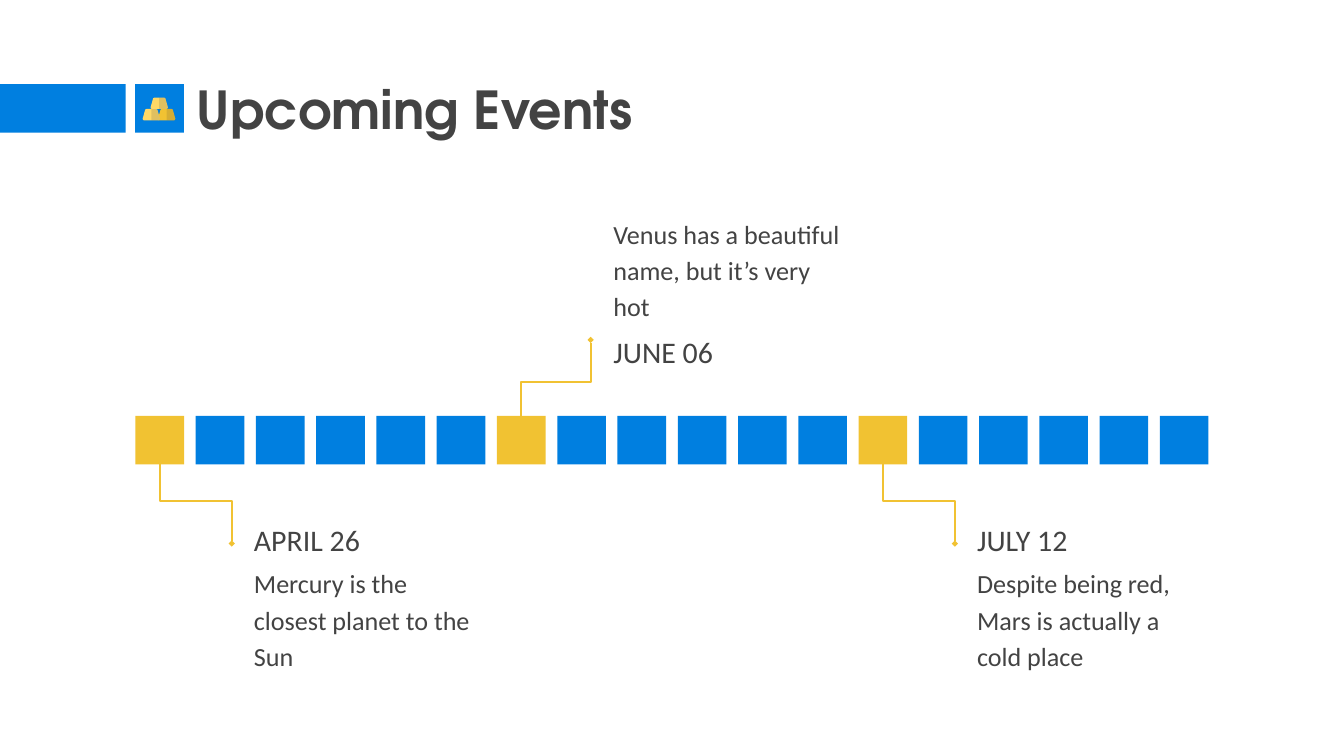
from dataclasses import dataclass
from lxml.etree import SubElement
from pptx import Presentation
from pptx.dml.color import RGBColor
from pptx.enum.shapes import MSO_CONNECTOR, MSO_SHAPE
from pptx.enum.text import MSO_ANCHOR, MSO_AUTO_SIZE, PP_ALIGN
from pptx.oxml.ns import qn
from pptx.util import Cm, Pt


@dataclass(frozen=True)
class Theme:
    blue: RGBColor = RGBColor.from_string("007FE0")
    gold: RGBColor = RGBColor.from_string("F1C232")
    light_gold: RGBColor = RGBColor.from_string("FFD966")
    ink: RGBColor = RGBColor.from_string("434343")
    title_font: str = "TeX Gyre Adventor"
    body_font: str = "Calibri"
    title_size: Pt = Pt(56)
    date_size: Pt = Pt(32)
    note_size: Pt = Pt(28)
    line_width: Pt = Pt(2.25)
    inset: Cm = Cm(0.51)


@dataclass(frozen=True)
class Side:
    line_start: Cm
    line_end: Cm
    line_run: Cm
    text_offset: Cm
    text_width: Cm
    date_top: Cm
    note_top: Cm
    note_height: Cm


THEME = Theme()
SQUARE = Cm(1.84)
SQUARE_COUNT = 18
BELOW = Side(Cm(1.6), Cm(4.83), Cm(2.72), Cm(3.05), Cm(9.27), Cm(3.28), Cm(5.06), Cm(5.49))
ABOVE = Side(Cm(0.31), Cm(-2.87), Cm(2.62), Cm(2.97), Cm(9.6), Cm(-3.81), Cm(-8.15), Cm(4.75))
EVENTS = {
    0: ("APRIL 26", "Mercury is the closest planet to the Sun", BELOW),
    6: ("JUNE 06", "Venus has a beautiful name, but it’s very hot", ABOVE),
    12: ("JULY 12", "Despite being red, Mars is actually a cold place", BELOW),
}
BAR_OUTLINE = [(0.22, 0), (0.15, 0.06), (0, 0.88), (0.06, 1),
               (0.94, 1), (1, 0.88), (0.85, 0.06), (0.78, 0)]
BAR_SHADE = [(0.5, 0), (0.5, 1)] + BAR_OUTLINE[4:]


def paint(shape, color):
    shape.shadow.inherit = False
    shape.fill.solid()
    shape.fill.fore_color.rgb = color
    shape.line.fill.background()


def add_block(slide, left, top, width, height, color):
    paint(slide.shapes.add_shape(MSO_SHAPE.RECTANGLE, left, top, width, height), color)


def write_text(shape, text, font_name, size, bold=False):
    frame = shape.text_frame
    frame.word_wrap = True
    frame.auto_size = MSO_AUTO_SIZE.NONE
    frame.margin_left = frame.margin_right = THEME.inset
    frame.margin_top = frame.margin_bottom = THEME.inset
    paragraph = frame.paragraphs[0]
    paragraph.alignment = PP_ALIGN.LEFT
    run = paragraph.add_run()
    run.text = text
    run.font.name = font_name
    run.font.size = size
    run.font.bold = bold
    run.font.color.rgb = THEME.ink
    return frame


def add_caption(slide, left, top, width, height, text, size):
    box = slide.shapes.add_textbox(left, top, width, height)
    frame = write_text(box, text, THEME.body_font, size)
    frame.paragraphs[0].line_spacing = 1.15


def add_outline(slide, left, top, width, height, fractions, color):
    points = [(left + int(x * width), top + int(y * height)) for x, y in fractions]
    builder = slide.shapes.build_freeform(*points[0])
    builder.add_line_segments(points[1:], close=True)
    shape = builder.convert_to_shape()
    paint(shape, color)
    return shape


def add_gold_bars(slide, left, top):
    width, height = Cm(0.66), Cm(0.43)
    bars = [
        (Cm(0.58), height, THEME.gold),
        (0, height, THEME.light_gold),
        (Cm(0.3), 0, THEME.light_gold),
    ]
    for x, y, color in bars:
        add_outline(slide, left + x, top + y, width, height, BAR_OUTLINE, color)
        shade = add_outline(slide, left + x, top + y, width, height, BAR_SHADE, THEME.ink)
        tint = shade._element.spPr.find(".//" + qn("a:srgbClr"))
        SubElement(tint, qn("a:alpha"), val="16000")


def add_header(slide, left, top):
    add_block(slide, 0, top, Cm(4.75), SQUARE, THEME.blue)
    add_block(slide, left, top, SQUARE, SQUARE, THEME.blue)
    add_gold_bars(slide, left + Cm(0.28), top + Cm(0.51))
    title = slide.shapes.title
    title.left, title.top = left + Cm(1.8), top - Cm(0.28)
    title.width, title.height = Cm(34.44), Cm(2.39)
    frame = write_text(title, "Upcoming Events", THEME.title_font, THEME.title_size, True)
    frame.vertical_anchor = MSO_ANCHOR.MIDDLE


def add_leader(slide, x, start, end, run):
    rise = abs(end - start)
    left = x + (run - rise) // 2
    top = (start + end - run) // 2
    right = left + rise
    begin_x, end_x = (right, left) if end > start else (left, right)
    leader = slide.shapes.add_connector(MSO_CONNECTOR.ELBOW, begin_x, top, end_x, top + run)
    leader.line.color.rgb = THEME.gold
    leader.line.width = THEME.line_width
    properties = leader._element.spPr
    properties.find(qn("a:xfrm")).set("rot", "16200000")
    SubElement(properties.find(qn("a:ln")), qn("a:tailEnd"), type="diamond")
    SubElement(properties, qn("a:effectLst"))


def add_event(slide, center, top, date, note, side):
    add_leader(slide, center, top + side.line_start, top + side.line_end, side.line_run)
    left = center + side.text_offset
    add_caption(slide, left, top + side.note_top, side.text_width, side.note_height,
                note, THEME.note_size)
    add_caption(slide, left, top + side.date_top, side.text_width, Cm(2.44),
                date, THEME.date_size)


def add_timeline(slide, left, top, width):
    pitch = (width - SQUARE) / (SQUARE_COUNT - 1)
    for index in range(SQUARE_COUNT):
        x = left + int(index * pitch)
        color = THEME.gold if index in EVENTS else THEME.blue
        add_block(slide, x, top, SQUARE, SQUARE, color)
        if index in EVENTS:
            add_event(slide, x + SQUARE // 2, top, *EVENTS[index])


def main():
    presentation = Presentation()
    presentation.slide_width = Cm(50.8)
    presentation.slide_height = Cm(28.58)
    slide = presentation.slides.add_slide(presentation.slide_layouts[5])
    add_header(slide, Cm(5.11), Cm(3.18))
    add_timeline(slide, Cm(5.12), Cm(15.72), Cm(40.56))
    presentation.save("out.pptx")


if __name__ == "__main__":
    main()
